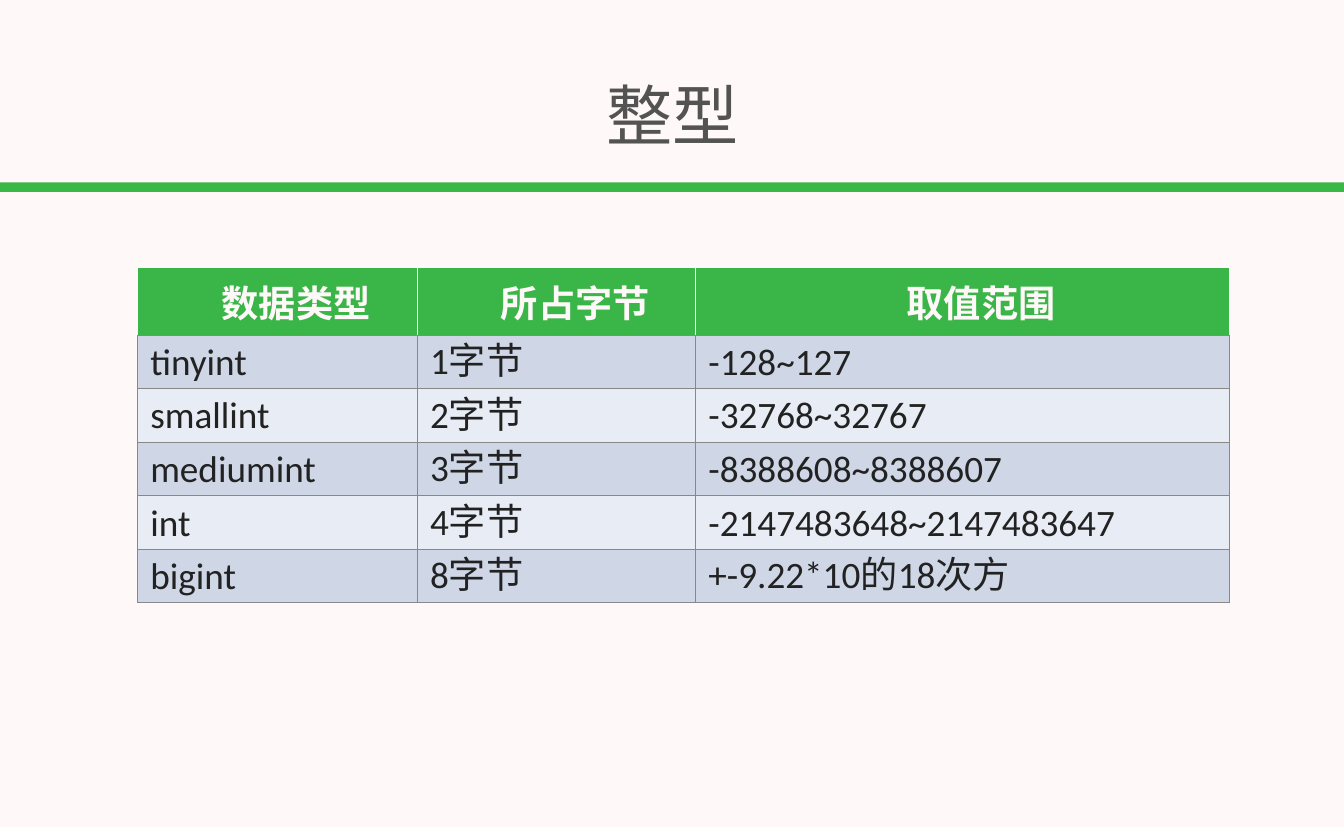
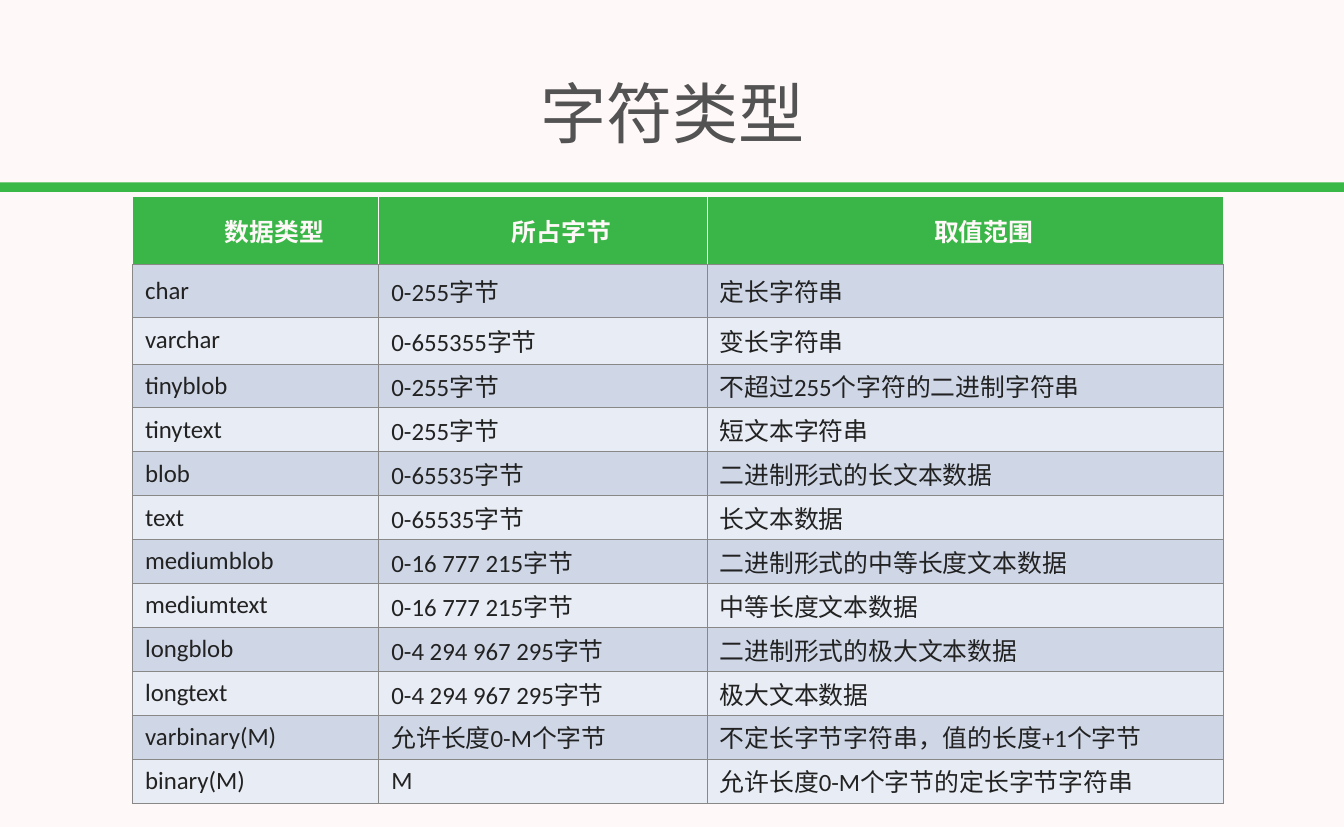
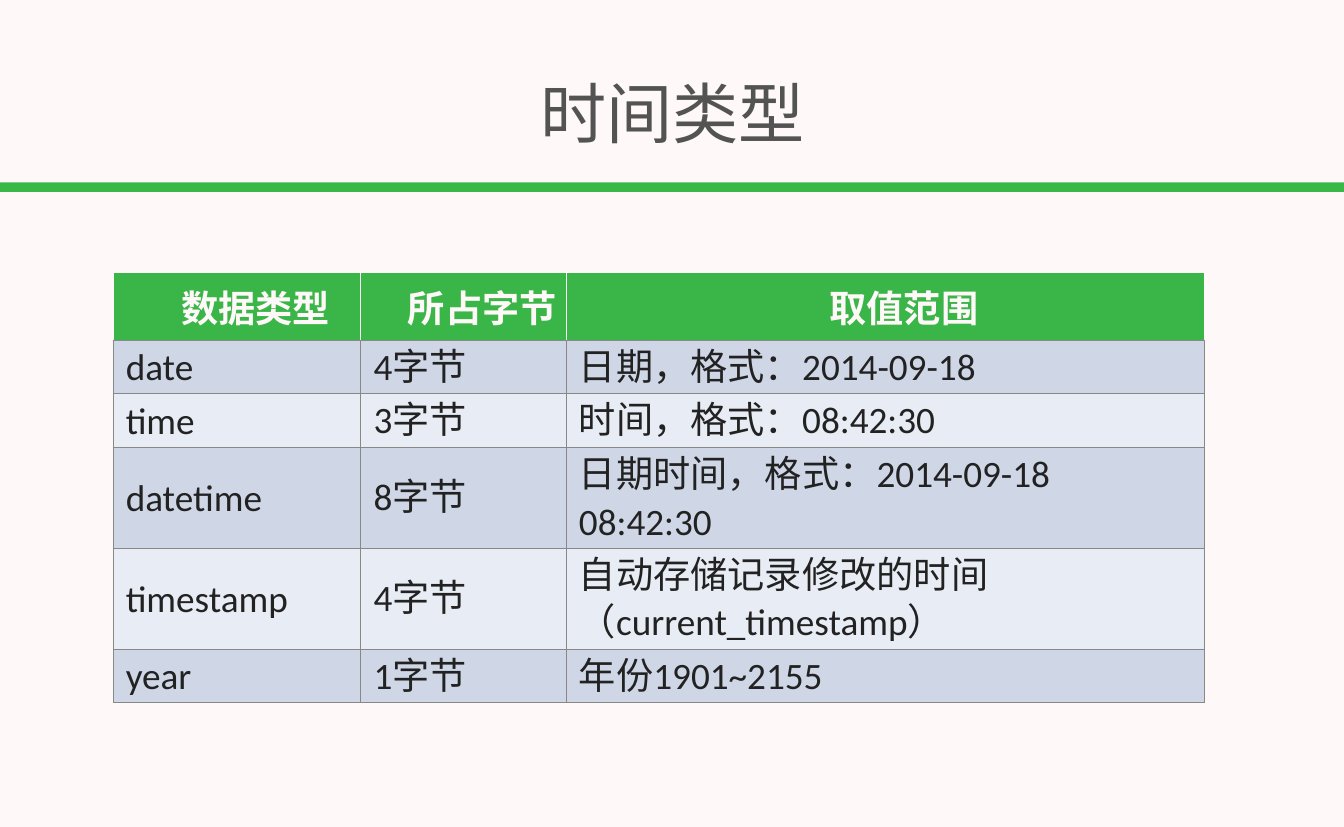
from dataclasses import dataclass

from lxml import etree
from pptx import Presentation, util as u
from pptx.dml.color import RGBColor
from pptx.enum import shapes, text
from pptx.oxml import ns

HEADINGS = ("数据类型", "所占字节", "取值范围")

TOPICS = [
    dict(
        title="整型", title_top=0.82, left=1.85, top=3.59, size=36, leading=46,
        columns=(3.76, 3.74, 7.17),
        heights=(0.91, 0.71, 0.63, 0.59, 0.68, 0.7),
        types=[
            ("tinyint", "1字节", "-128~127"),
            ("smallint", "2字节", "-32768~32767"),
            ("mediumint", "3字节", "-8388608~8388607"),
            ("int", "4字节", "-2147483648~2147483647"),
            ("bigint", "8字节", "+-9.22*10的18次方"),
        ],
    ),
    dict(
        title="字符类型", title_top=0.8, left=1.78, top=2.64, size=24, leading=None,
        columns=(3.31, 4.41, 6.94),
        heights=(0.91, 0.71, 0.63) + (0.59,) * 10,
        types=[
            ("char", "0-255字节", "定长字符串"),
            ("varchar", "0-655355字节", "变长字符串"),
            ("tinyblob", "0-255字节", "不超过255个字符的二进制字符串"),
            ("tinytext", "0-255字节", "短文本字符串"),
            ("blob", "0-65535字节", "二进制形式的长文本数据"),
            ("text", "0-65535字节", "长文本数据"),
            ("mediumblob", "0-16 777 215字节", "二进制形式的中等长度文本数据"),
            ("mediumtext", "0-16 777 215字节", "中等长度文本数据"),
            ("longblob", "0-4 294 967 295字节", "二进制形式的极大文本数据"),
            ("longtext", "0-4 294 967 295字节", "极大文本数据"),
            ("varbinary(M)", "允许长度0-M个字节", "不定长字节字符串，值的长度+1个字节"),
            ("binary(M)", "M", "允许长度0-M个字节的定长字节字符串"),
        ],
    ),
    dict(
        title="时间类型", title_top=0.8, left=1.52, top=3.66, size=36, leading=46,
        columns=(3.33, 2.76, 8.57),
        heights=(0.91, 0.71, 0.63) + (0.59,) * 3,
        types=[
            ("date", "4字节", "日期，格式：2014-09-18"),
            ("time", "3字节", "时间，格式：08:42:30"),
            ("datetime", "8字节", "日期时间，格式：2014-09-18 08:42:30"),
            ("timestamp", "4字节", "自动存储记录修改的时间（current_timestamp）"),
            ("year", "1字节", "年份1901~2155"),
        ],
    ),
]


@dataclass(frozen=True)
class Theme:
    """Colours, font and sizes shared by all slides."""
    paper: str = "FFF8F8"
    band: str = "39B747"
    header: str = "39B647"
    stripes: tuple = ("CFD7E7", "E8ECF4")
    grid: str = "888888"
    title: str = "535353"
    body: str = "222222"
    font: str = "Calibri"
    title_size: int = 64
    border: int = 1


THEME = Theme()


def paint(fill, colour):
    """Give a fill one solid colour."""
    fill.solid()
    fill.fore_color.rgb = RGBColor.from_string(colour)


def style_runs(paragraph, size, colour, bold=False):
    """Format every run of a paragraph."""
    for run in paragraph.runs:
        run.font.name = THEME.font
        run.font.size = u.Pt(size)
        run.font.bold = bold
        run.font.color.rgb = RGBColor.from_string(colour)


def set_margins(frame, across, down):
    """Set equal side margins and equal top and bottom margins."""
    frame.margin_left = frame.margin_right = u.Inches(across)
    frame.margin_top = frame.margin_bottom = u.Inches(down)


def set_borders(cell, sides, bottom):
    """Draw the four borders of a cell; call before filling it."""
    properties = cell._tc.get_or_add_tcPr()
    for edge, colour in zip("LRTB", (sides, sides, sides, bottom)):
        line = etree.SubElement(properties, ns.qn(f"a:ln{edge}"),
                                w=str(u.Pt(THEME.border)))
        solid = etree.SubElement(line, ns.qn("a:solidFill"))
        etree.SubElement(solid, ns.qn("a:srgbClr"), val=colour)


def write_cell(cell, words, row, topic):
    """Write one table cell, as a heading in row 0 and striped below."""
    cell.text_frame.text = words
    cell.vertical_anchor = text.MSO_ANCHOR.MIDDLE
    paragraph = cell.text_frame.paragraphs[0]
    if row == 0:
        set_margins(cell, 0, 0)
        paragraph.alignment = text.PP_ALIGN.CENTER
        paragraph._p.get_or_add_pPr().set("indent", str(u.Inches(0.5)))
        style_runs(paragraph, topic["size"], THEME.paper, bold=True)
        set_borders(cell, THEME.paper, THEME.grid)
        paint(cell.fill, THEME.header)
    else:
        set_margins(cell, 0.17, 0.04)
        if topic["leading"]:
            paragraph.line_spacing = u.Pt(topic["leading"])
        style_runs(paragraph, topic["size"], THEME.body)
        set_borders(cell, THEME.grid, THEME.grid)
        paint(cell.fill, THEME.stripes[(row - 1) % 2])


def add_type_table(slide, topic):
    """Add the table of data types."""
    rows = [HEADINGS, *topic["types"]]
    frame = slide.shapes.add_table(
        len(rows), len(HEADINGS), u.Inches(topic["left"]), u.Inches(topic["top"]),
        u.Inches(sum(topic["columns"])), u.Inches(sum(topic["heights"])))
    grid = frame.table
    grid.horz_banding = False
    for column, width in zip(grid.columns, topic["columns"]):
        column.width = u.Inches(width)
    for row, (words, height) in enumerate(zip(rows, topic["heights"])):
        grid.rows[row].height = u.Inches(height)
        for column, entry in enumerate(words):
            write_cell(grid.cell(row, column), entry, row, topic)


def prepare_layout(layout):
    """Set the title frame that the slides inherit."""
    frame = layout.placeholders[0].text_frame
    frame.auto_size = text.MSO_AUTO_SIZE.NONE
    frame.vertical_anchor = text.MSO_ANCHOR.MIDDLE
    set_margins(frame, 0.05, 0.05)


def move_band_to_layout(slide, layout):
    """Draw the band under the title and hand it to the layout."""
    band = slide.shapes.add_shape(
        shapes.MSO_SHAPE.RECTANGLE,
        u.Inches(-0.01), u.Inches(2.45), u.Inches(18.08), u.Inches(0.13))
    band.shadow.inherit = False
    paint(band.fill, THEME.band)
    band.line.fill.background()
    layout.shapes.element.append(band.element)


def add_title(slide, topic):
    """Fill and place the title."""
    title = slide.shapes.title
    title.left, title.top = u.Inches(0.05), u.Inches(topic["title_top"])
    title.width, title.height = u.Inches(17.97), u.Inches(1.42)
    title.text_frame.text = topic["title"]
    paragraph = title.text_frame.paragraphs[0]
    paragraph.alignment = text.PP_ALIGN.CENTER
    style_runs(paragraph, THEME.title_size, THEME.title)


def main():
    """Build one slide for each topic."""
    deck = Presentation()
    deck.slide_width, deck.slide_height = u.Inches(18.06), u.Inches(11.11)
    paint(deck.slide_master.background.fill, THEME.paper)
    layout = deck.slide_layouts.get_by_name("Title Only")
    prepare_layout(layout)
    for topic in TOPICS:
        slide = deck.slides.add_slide(layout)
        if topic is TOPICS[0]:
            move_band_to_layout(slide, layout)
        add_title(slide, topic)
        add_type_table(slide, topic)
    deck.save("out.pptx")


main()
